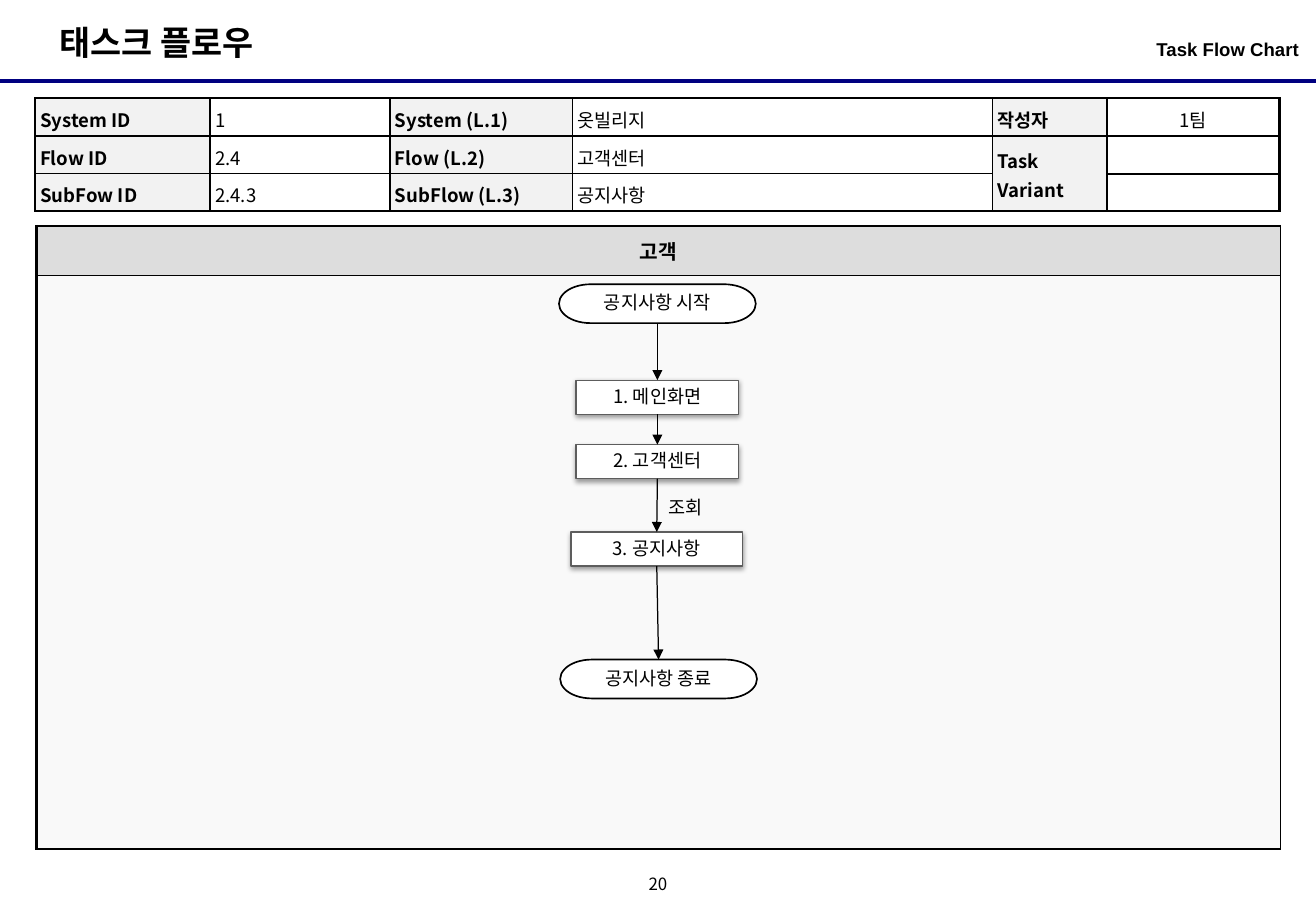
from itertools import pairwise

from lxml.etree import SubElement
from pptx import Presentation
from pptx.dml.color import RGBColor
from pptx.enum.shapes import MSO_CONNECTOR, MSO_SHAPE
from pptx.enum.text import MSO_ANCHOR, PP_ALIGN
from pptx.oxml import parse_xml
from pptx.oxml.ns import nsdecls, qn
from pptx.util import Inches, Pt

KOREAN = "Noto Sans CJK KR"
BLACK, WHITE, NAVY = "000000", "FFFFFF", "000080"
LABEL_FILL, HEADER_FILL, BODY_FILL, STEP_LINE = "F2F2F2", "DDDDDD", "F9F9F9", "5D5D5D"

INFO_ROWS = [
    ["System ID", "1", "System (L.1)", "옷빌리지", "작성자", "1팀"],
    ["Flow ID", "2.4", "Flow (L.2)", "고객센터", "Task Variant", ""],
    ["SubFow ID", "2.4.3", "SubFlow (L.3)", "공지사항", "", ""],
]
INFO_WIDTHS = [1.44, 1.48, 1.5, 3.46, 0.94, 1.42]
LANE_ROWS = [["고객"], [""]]
# text, is a start or end node, left, top, width
FLOW_NODES = [
    ("공지사항 시작", True, 4.6, 2.34, 1.62),
    ("1. 메인화면", False, 4.74, 3.13, 1.34),
    ("2. 고객센터", False, 4.74, 3.66, 1.34),
    ("3. 공지사항", False, 4.7, 4.38, 1.41),
    ("공지사항 종료", True, 4.61, 5.43, 1.62),
]


def color(hex_text):
    return RGBColor.from_string(hex_text)


def write(frame, text, size=11, font=KOREAN, bold=False, align=PP_ALIGN.LEFT,
          anchor=MSO_ANCHOR.TOP, spacing=1.0, wrap=True):
    frame.word_wrap = wrap
    frame.vertical_anchor = anchor
    paragraph = frame.paragraphs[0]
    paragraph.alignment = align
    paragraph.line_spacing = spacing
    if not text:
        paragraph._p.get_or_add_endParaRPr().set("sz", str(size * 100))
        return
    run = paragraph.add_run()
    run.text = text
    run.font.size, run.font.name, run.font.bold = Pt(size), font, bold
    run.font.color.rgb = color(BLACK)
    SubElement(run._r.get_or_add_rPr(), qn("a:ea")).set("typeface", KOREAN)


def set_margins(holder, horizontal, vertical):
    holder.margin_left = holder.margin_right = Inches(horizontal)
    holder.margin_top = holder.margin_bottom = Inches(vertical)


def add_text(left, top, width, height, text, margins=(0.1, 0.05), **text_format):
    box = slide.shapes.add_textbox(Inches(left), Inches(top), Inches(width), Inches(height))
    set_margins(box.text_frame, *margins)
    write(box.text_frame, text, **text_format)


def add_line(start, end, line_color, width):
    line = slide.shapes.add_connector(MSO_CONNECTOR.STRAIGHT, *map(Inches, start + end))
    line.line.color.rgb = color(line_color)
    line.line.width = Pt(width)
    SubElement(line._element.spPr, qn("a:effectLst"))
    return line


def add_grid(left, top, widths, heights):
    frame = slide.shapes.add_table(len(heights), len(widths), Inches(left), Inches(top),
                                   Inches(sum(widths)), Inches(sum(heights)))
    table = frame.table
    table.first_row = table.horz_banding = False
    for column, width in zip(table.columns, widths):
        column.width = Inches(width)
    for row, height in zip(table.rows, heights):
        row.height = Inches(height)
    return table


def style_cell(cell, fill, left, right, top, bottom):
    """Fill a cell and draw its four borders, widths in points."""
    cell.fill.solid()
    cell.fill.fore_color.rgb = color(fill)
    properties = cell._tc.get_or_add_tcPr()
    for index, (side, width) in enumerate(zip("LRTB", (left, right, top, bottom))):
        properties.insert(index, parse_xml(
            f'<a:ln{side} {nsdecls("a")} w="{Pt(width)}"><a:solidFill>'
            f'<a:srgbClr val="{BLACK}"/></a:solidFill></a:ln{side}>'))


def add_info_table():
    table = add_grid(0.29, 0.81, INFO_WIDTHS, [0.31] * len(INFO_ROWS))
    last_row, last_column = len(INFO_ROWS) - 1, len(INFO_WIDTHS) - 1
    for r, row in enumerate(INFO_ROWS):
        for c, text in enumerate(row):
            cell = table.cell(r, c)
            is_label, in_author_part = c % 2 == 0, c >= 4
            set_margins(cell, 0.04, 0.04)
            cell.vertical_anchor = MSO_ANCHOR.MIDDLE if in_author_part else MSO_ANCHOR.TOP
            write(cell.text_frame, text, bold=is_label, spacing=1.1,
                  anchor=None, wrap=None,
                  align=PP_ALIGN.CENTER if c == last_column else PP_ALIGN.LEFT)
            style_cell(cell, LABEL_FILL if is_label else WHITE,
                       left=1.5 if c == 0 else 1,
                       right=1.5 if c == last_column else 1,
                       top=1.5 if r == 0 or in_author_part else 1,
                       bottom=1.5 if r == last_row or in_author_part else 1)
    table.cell(1, 4).merge(table.cell(2, 4))


def add_lane_table():
    table = add_grid(0.3, 1.86, [10.24], [0.41, 4.72])
    borders = [(HEADER_FILL, 1.5, 0.75), (BODY_FILL, 0.75, 1.5)]
    for r, (fill, top, bottom) in enumerate(borders):
        cell = table.cell(r, 0)
        cell.vertical_anchor = MSO_ANCHOR.MIDDLE
        write(cell.text_frame, LANE_ROWS[r][0], size=12, bold=True,
              align=PP_ALIGN.CENTER, anchor=None, wrap=None)
        style_cell(cell, fill, 1.5, 0.75, top, bottom)


def add_node(text, is_terminal, left, top, width):
    kind = MSO_SHAPE.FLOWCHART_TERMINATOR if is_terminal else MSO_SHAPE.FLOWCHART_PROCESS
    node = slide.shapes.add_shape(kind, Inches(left), Inches(top), Inches(width),
                                  Inches(0.32 if is_terminal else 0.28))
    node.shadow.inherit = False
    node.fill.solid()
    node.fill.fore_color.rgb = color(WHITE)
    node.line.color.rgb = color(BLACK if is_terminal else STEP_LINE)
    node.line.width = Pt(1 if is_terminal else 0.75)
    set_margins(node.text_frame, 0.02, 0)
    write(node.text_frame, text, font="Arial" if is_terminal else KOREAN, spacing=0.9,
          align=PP_ALIGN.CENTER, anchor=MSO_ANCHOR.MIDDLE)
    if not is_terminal:
        node._element.spPr.find(qn("a:effectLst")).append(parse_xml(
            f'<a:outerShdw {nsdecls("a")} blurRad="{Pt(3.1)}" dist="{Pt(1.6)}" dir="5400000" '
            f'rotWithShape="0"><a:srgbClr val="{BLACK}"><a:alpha val="38000"/></a:srgbClr>'
            '</a:outerShdw>'))
    return node


def add_arrow(source, target):
    arrow = add_line((0, 0), (1, 1), BLACK, 0.75)
    arrow.begin_connect(source, 2)
    arrow.end_connect(target, 0)
    SubElement(arrow.line._get_or_add_ln(), qn("a:tailEnd")).set("type", "triangle")


presentation = Presentation()
presentation.slide_width, presentation.slide_height = Inches(10.83), Inches(7.5)
slide = presentation.slides.add_slide(presentation.slide_layouts[6])

add_line((0, 0.67), (10.83, 0.67), NAVY, 2.25)
add_text(0.39, 0.13, 1.98, 0.44, "태스크 플로우", size=20, bold=True, wrap=False)
add_text(7.38, 0.26, 3.31, 0.39, "Task Flow Chart", margins=(0, 0.05), font="Arial",
         bold=True, align=PP_ALIGN.RIGHT)
add_text(5.25, 7.17, 0.33, 0.25, "20", margins=(0, 0), size=10, spacing=0.8,
         align=PP_ALIGN.CENTER, anchor=MSO_ANCHOR.MIDDLE, wrap=False)
add_lane_table()
add_info_table()
flow = [add_node(*node) for node in FLOW_NODES]
for source, target in pairwise(flow):
    add_arrow(source, target)
add_text(5.4, 4.03, 0.59, 0.29, "조회")

presentation.save("out.pptx")
